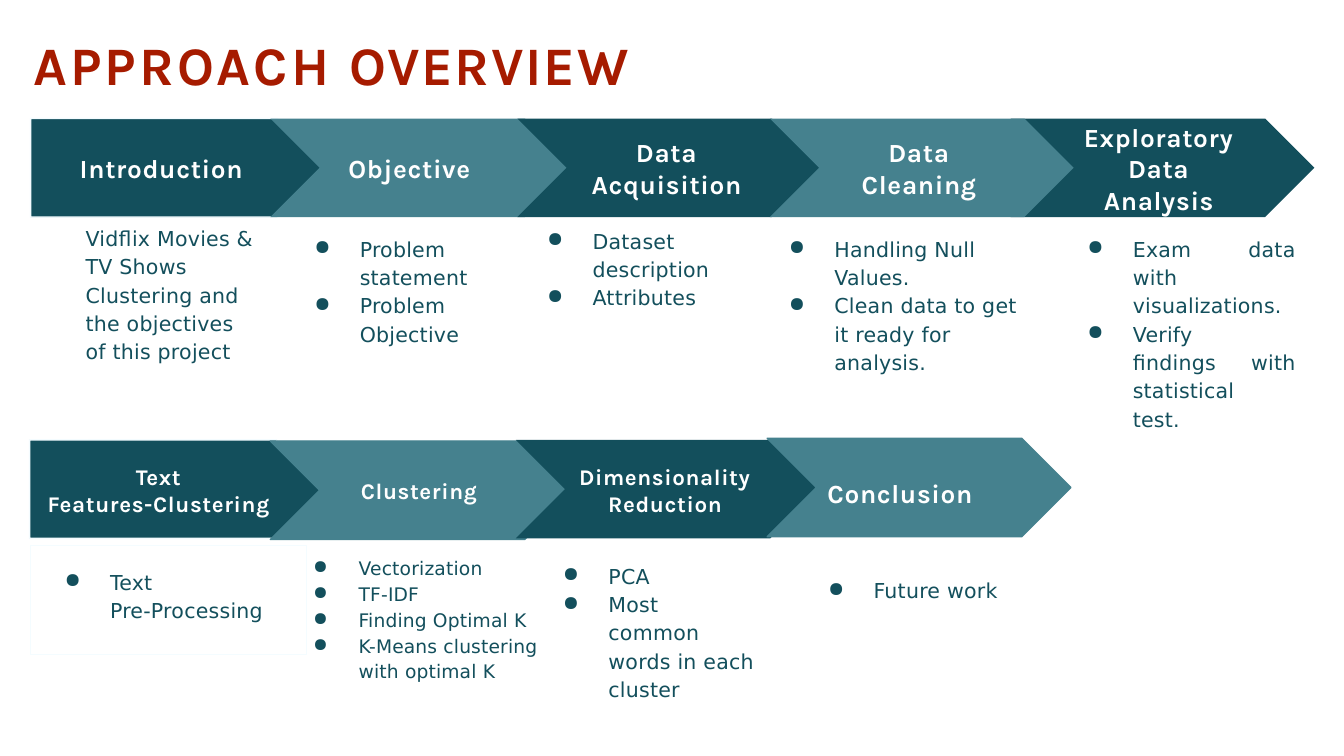
import copy

import pptx
import pptx.dml.color
import pptx.enum.shapes
import pptx.enum.text
import pptx.oxml.ns
import pptx.util
from lxml import etree

Cm, Pt = pptx.util.Cm, pptx.util.Pt
ALIGN = pptx.enum.text.PP_ALIGN
SHAPE = pptx.enum.shapes.MSO_SHAPE
qn = pptx.oxml.ns.qn

# Content and styles (lengths in cm)
DARK, LIGHT, RED, WHITE, PALE = "134F5C", "45818E", "A61B00", "FFFFFF", "F4FCFF"
HEAD_FONT, BODY_FONT = "Karla", "DejaVu Sans"
TITLE = [("APPROACH ", 1.6), ("OVERVIEW", 0.9)]
ARROW_W, FIRST_W, ARROW_H = 5.74, 5.59, 1.86

# Arrows in stacking order: left, top, fill, outline
ARROWS = [
    (0.58, 2.24, DARK, PALE), (5.11, 2.24, LIGHT, None),
    (9.78, 2.24, DARK, None), (19.1, 2.24, DARK, None),
    (14.55, 2.24, LIGHT, None),
    (0.56, 8.31, DARK, PALE), (5.11, 8.33, LIGHT, LIGHT),
    (9.75, 8.31, DARK, None), (14.5, 8.28, LIGHT, LIGHT),
]

# Arrow labels: text, centre x, centre y, width, size
LABELS = [
    ("Introduction", 3.05, 3.16, 3.1, 14),
    ("Objective", 7.74, 3.16, 2.4, 14),
    ("Data\vAcquisition", 12.6, 3.16, 3, 14),
    ("Data\vCleaning", 17.37, 3.16, 2.36, 14),
    ("Exploratory\vData\vAnalysis", 21.9, 3.16, 3.05, 14),
    ("Text\vFeatures-Clustering", 3, 9.24, 4.47, 12),
    ("Clustering", 7.92, 9.27, 2.36, 12),
    ("Dimensionality\vReduction", 12.57, 9.24, 3.43, 12),
    ("Conclusion", 17.01, 9.3, 2.95, 14),
]

# Details: left, top, width, height, size, bulleted, alignment, paragraphs
DETAILS = [
    (1.62, 4.2, 3.4, 2.7, 11, False, ALIGN.LEFT,
     ["Vidflix Movies &\vTV Shows\vClustering and\vthe objectives\vof this project"]),
    (5.89, 4.4, 2.97, 2.2, 11, True, ALIGN.LEFT,
     ["Problem\vstatement", "Problem\vObjective"]),
    (10.29, 4.25, 3.12, 1.65, 11, True, ALIGN.LEFT,
     ["Dataset\vdescription", "Attributes"]),
    (14.86, 4.4, 4.65, 2.7, 11, True, ALIGN.LEFT,
     ["Handling Null\vValues.", "Clean data to get\vit ready for\vanalysis."]),
    (20.5, 4.4, 3.99, 3.75, 11, True, ALIGN.JUSTIFY,
     ["Exam data\vwith\vvisualizations.",
      "Verify\vfindings with\vstatistical\vtest."]),
    (1.17, 10.69, 4.62, 1.1, 11, True, ALIGN.LEFT, ["Text\vPre-Processing"]),
    (5.87, 10.46, 4.32, 2.4, 10, True, ALIGN.LEFT,
     ["Vectorization", "TF-IDF", "Finding Optimal K",
      "K-Means clustering\vwith optimal K"]),
    (10.59, 10.58, 3.78, 2.65, 11, True, ALIGN.LEFT,
     ["PCA", "Most\vcommon\vwords in each\vcluster"]),
    (15.6, 10.85, 3.3, 0.55, 11, True, ALIGN.LEFT, ["Future work"]),
]


def rgb(value):
    return pptx.dml.color.RGBColor.from_string(value)


def add_block(kind, x, y, w, h, fill=None, line=None):
    sp = s.shapes.add_shape(kind, Cm(x), Cm(y), Cm(w), Cm(h))
    sp.shadow.inherit = False
    if fill:
        sp.fill.solid()
        sp.fill.fore_color.rgb = rgb(fill)
    else:
        sp.fill.background()
    if line:
        sp.line.color.rgb = rgb(line)
        sp.line.width = Pt(0.75)
    else:
        sp.line.fill.background()


def add_text(x, y, w, h, wrap=True):
    tf = s.shapes.add_textbox(Cm(x), Cm(y), Cm(w), Cm(h)).text_frame
    tf.margin_left = tf.margin_right = tf.margin_top = tf.margin_bottom = 0
    tf.word_wrap = wrap
    return tf


def style_run(r, font, size, color, spacing, bold=False):
    r.font.name, r.font.size, r.font.bold = font, Pt(size), bold
    r.font.color.rgb = rgb(color)
    r.font._element.set("spc", str(round(spacing * 100)))


def style_paragraph(p, *style):
    for r in p.runs:
        style_run(r, *style)
    # Line breaks take the run's size
    for br in p._p.findall(qn("a:br")):
        br.append(copy.deepcopy(p.runs[0].font._element))


def add_bullet(p):
    pPr = p._p.get_or_add_pPr()
    pPr.set("marL", str(Cm(0.91)))
    pPr.set("indent", str(-Cm(0.86)))
    etree.SubElement(pPr, qn("a:buChar")).set("char", "●")


prs = pptx.Presentation()
prs.slide_width, prs.slide_height = Cm(25.4), Cm(14.28)
s = prs.slides.add_slide(prs.slide_layouts[6])

# Title
p = add_text(0.64, 0.59, 12.5, 1.2).paragraphs[0]
for text, spacing in TITLE:
    r = p.add_run()
    r.text = text
    style_run(r, HEAD_FONT, 29, RED, spacing, True)

# Process arrows; the first of each row has a flat back
for x, y, fill, line in ARROWS:
    first = x < 1
    add_block(SHAPE.PENTAGON if first else SHAPE.CHEVRON, x, y,
              FIRST_W if first else ARROW_W, ARROW_H, fill, line)

# Arrow labels, centred on their points
for text, cx, cy, w, size in LABELS:
    h = (text.count("\v") + 1) * size * 0.0413
    p = add_text(cx - w / 2, cy - h / 2, w, h, False).paragraphs[0]
    p.text = text
    p.alignment = ALIGN.CENTER
    style_paragraph(p, HEAD_FONT, size, WHITE, 0.35, True)

# Frame and details
add_block(SHAPE.RECTANGLE, 0.58, 10.31, 5.21, 2.06, line=PALE)
for x, y, w, h, size, bulleted, align, items in DETAILS:
    tf = add_text(x, y, w, h)
    for i, item in enumerate(items):
        p = tf.add_paragraph() if i else tf.paragraphs[0]
        p.text = item
        p.alignment = align
        p.line_spacing = 1.15
        if bulleted:
            add_bullet(p)
        style_paragraph(p, BODY_FONT, size, DARK, 0.1)

prs.save("out.pptx")
